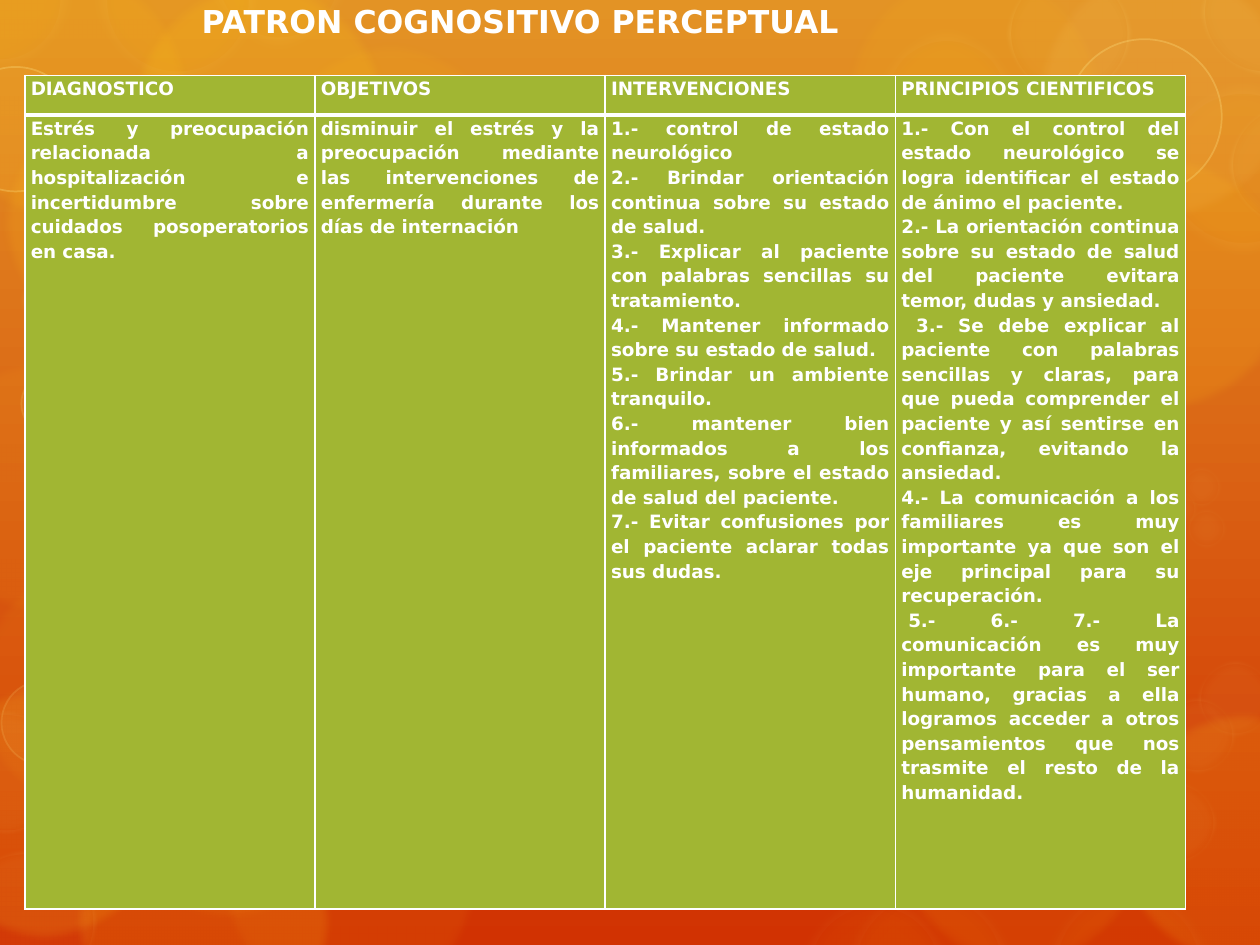
from lxml import etree
from pptx import Presentation
from pptx.dml.color import RGBColor
from pptx.enum.shapes import MSO_SHAPE
from pptx.enum.text import MSO_ANCHOR, PP_ALIGN
from pptx.oxml.ns import qn
from pptx.util import Cm, Pt

OVAL = MSO_SHAPE.OVAL
MIDDLE = MSO_ANCHOR.MIDDLE
LEFT, JUSTIFY = PP_ALIGN.LEFT, PP_ALIGN.JUSTIFY

FONT = "DejaVu Sans"
COLORS = {
    "top": "E39325", "bottom": "D13202", "amber": "FDC61B", "cream": "FEEBAE",
    "yellow": "FFE281", "green": "A1B633", "white": "FFFFFF",
}
TITLE = "PATRON COGNOSITIVO PERCEPTUAL"
HEADERS = ["DIAGNOSTICO", "OBJETIVOS", "INTERVENCIONES", "PRINCIPIOS CIENTIFICOS"]
# Each paragraph is its text and its first-line indent in centimetres.
COLUMNS = [
    [("Estrés y preocupación relacionada a hospitalización e incertidumbre sobre "
      "cuidados posoperatorios en casa.", 0)],
    [("disminuir el estrés y la preocupación mediante las intervenciones de "
      "enfermería durante los días de internación", 0)],
    [("1.- control de estado neurológico", 0),
     ("2.- Brindar orientación continua sobre su estado de salud.", 0),
     ("3.- Explicar al paciente con palabras sencillas su tratamiento.", 0),
     ("4.- Mantener informado sobre su estado de salud.", 0),
     ("5.- Brindar un ambiente tranquilo.", 0),
     ("6.- mantener bien informados a los familiares, sobre el estado de salud "
      "del paciente.", 0),
     ("7.- Evitar confusiones por el paciente aclarar todas sus dudas.", 0)],
    [("1.- Con el control del estado neurológico se logra identificar el estado "
      "de ánimo el paciente.", 0),
     ("2.- La orientación continua sobre su estado de salud del paciente evitara "
      "temor, dudas y ansiedad.", 0),
     ("3.- Se debe explicar al paciente con palabras sencillas y claras, para que "
      "pueda comprender el paciente y así sentirse en confianza, evitando la "
      "ansiedad.", 0.3),
     ("4.- La comunicación a los familiares es muy importante ya que son el eje "
      "principal para su recuperación.", 0),
     ("5.- 6.- 7.- La comunicación es muy importante para el ser humano, gracias a "
      "ella logramos acceder a otros pensamientos que nos trasmite el resto de la "
      "humanidad.", 0.14)],
]

# Background circles in inches: (left, top) of the large ones by fill and opacity.
LARGE_DIAMETER = 2.09
LARGE_CIRCLES = {
    ("amber", 5): [(7.29, 4.77)],
    ("amber", 8): [(-0.25, 4.42), (0.77, 5.24), (1.73, 5.96), (-0.7, 2.82)],
    ("amber", 10): [(0.57, 1.2), (2.05, 0.31), (6.69, -0.29), (7.06, 5.62)],
    ("amber", 14): [(-0.56, -0.32)],
    ("amber", 15): [(0, 0.72), (8.2, 1.2), (6.69, 0.86)],
    ("amber", 16): [(0.57, 6.27), (8.81, 5.62), (-0.69, 5.41)],
    ("amber", 20): [(1.01, -0.18)],
    ("yellow", 10): [(8.2, -0.32)],
}
# (left, top, diameter) by fill, opacity, line, line width and line opacity.
RINGS = {
    ("amber", 10, "cream", 14, 6): [
        (9.18, 0.65, 1.37), (6.94, 0.23, 1.14), (7.52, 1.59, 1.33), (7.89, 2.24, 1.14),
        (8.47, 2.91, 0.79), (0.75, -0.65, 1.31), (1.64, -0.75, 1.14), (-0.57, -0.58, 1.14)],
    ("amber", 6, "cream", 14, 4): [
        (0.3, 4.73, 1.53), (6.33, 7.1, 1.22), (6.7, 7.01, 1.35), (8.29, 7.01, 1.32)],
    ("amber", 10, None, 0, 0): [(6.75, 2.62, 1.33)],
    ("yellow", 5, "yellow", 1, 15): [
        (0.01, 5.4, 0.67), (8.34, 6.14, 0.81), (8.2, 5.39, 0.81), (0.17, 2.95, 0.51),
        (0.52, 3.46, 0.5)],
    ("yellow", 5, "yellow", 5, 15): [
        (-0.36, 6.75, 1.13), (-0.44, 5.64, 0.98), (7.63, 5.73, 0.81), (9, 6.2, 0.66),
        (8.83, 4.48, 0.61), (9.2, 5.53, 0.61), (9.5, 5.24, 0.61), (9.37, 3.7, 0.33),
        (9.18, 3.87, 0.33), (9.41, 4.03, 0.33), (0.3, 3.7, 0.39)],
    ("yellow", 5, "yellow", 1, 30): [
        (-0.37, 0.53, 0.99), (0.41, 2.06, 0.67), (8.47, 0.31, 1.23), (8.17, 1.45, 0.67)],
    ("yellow", 5, "yellow", 5, 30): [
        (0.52, 0.92, 1), (0.35, 1.59, 0.85), (0.17, 2.1, 0.57), (7.99, -0.23, 0.99),
        (9.53, -0.4, 1), (9.75, 0.82, 0.99), (8.3, 0.8, 1.06)],
}
SOFT_EDGES = {0: 5, 1: 0, 5: 5, 14: 10}  # line width: blur radius, in points


def color(name):
    return RGBColor.from_string(COLORS[name])


def from_inches(value):
    return Cm(round(value * 2.54, 2))


def paint(fill, name, opacity):
    fill.solid()
    fill.fore_color.rgb = color(name)
    for element in fill._xPr.iter(qn("a:srgbClr")):
        if not len(element):
            etree.SubElement(element, qn("a:alpha"), val=str(opacity * 1000))


def add_circle(slide, left, top, diameter, style):
    fill_name, opacity, line_name, width, line_opacity = style
    size = from_inches(diameter)
    circle = slide.shapes.add_shape(OVAL, from_inches(left), from_inches(top), size, size)
    circle.shadow.inherit = False
    paint(circle.fill, fill_name, opacity)
    if line_name:
        circle.line.width = Pt(width)
        paint(circle.line.fill, line_name, line_opacity)
    else:
        circle.line.fill.background()
    if SOFT_EDGES[width]:
        effects = circle.element.spPr.find(qn("a:effectLst"))
        etree.SubElement(effects, qn("a:softEdge"), rad=str(Pt(SOFT_EDGES[width])))


def format_paragraph(paragraph, size, alignment):
    paragraph.alignment = alignment
    for run in paragraph.runs:
        run.font.name = FONT
        run.font.size = Pt(size)
        run.font.bold = True
        run.font.color.rgb = color("white")


def add_borders(cell, top, bottom):
    properties = cell._tc.get_or_add_tcPr()
    for side, width in (("L", 1), ("R", 1), ("T", top), ("B", bottom)):
        line = etree.SubElement(properties, qn(f"a:ln{side}"), w=str(Pt(width)))
        fill = etree.SubElement(line, qn("a:solidFill"))
        etree.SubElement(fill, qn("a:srgbClr"), val=COLORS["white"])


def fill_cell(cell, paragraphs, top, bottom):
    add_borders(cell, top, bottom)
    cell.fill.solid()
    cell.fill.fore_color.rgb = color("green")
    cell.margin_left = cell.margin_right = Cm(0.12)
    cell.margin_top = cell.margin_bottom = 0
    cell.text_frame.text = "\n".join(text for text, _ in paragraphs)
    for paragraph, (_, indent) in zip(cell.text_frame.paragraphs, paragraphs):
        format_paragraph(paragraph, 10.5, JUSTIFY)
        paragraph.line_spacing = 1.15
        if indent:
            paragraph._p.get_or_add_pPr().set("indent", str(Cm(indent)))


def add_background(slide):
    fill = slide.background.fill
    fill.gradient()
    fill.gradient_angle = 270
    for stop, name in zip(fill.gradient_stops, ("top", "bottom")):
        stop.color.rgb = color(name)
    for (name, opacity), corners in LARGE_CIRCLES.items():
        for left, top in corners:
            add_circle(slide, left, top, LARGE_DIAMETER, (name, opacity, None, 0, 0))
    for style, circles in RINGS.items():
        for circle in circles:
            add_circle(slide, *circle, style)


def add_title(slide):
    title = slide.shapes.title
    title.element.getparent().append(title.element)  # in front of the circles
    title.left, title.top, title.width, title.height = Cm(3.81), Cm(-0.28), Cm(14.71), Cm(1.4)
    title.text_frame.text = TITLE
    title.text_frame.word_wrap = True
    title.text_frame.vertical_anchor = MIDDLE
    format_paragraph(title.text_frame.paragraphs[0], 18, LEFT)


def add_care_table(slide):
    table = slide.shapes.add_table(
        2, len(HEADERS), Cm(0.5), Cm(1.52), Cm(23.4), Cm(16.8)).table
    table.horz_banding = False
    table.rows[0].height, table.rows[1].height = Cm(0.8), Cm(16)
    for index, (header, paragraphs) in enumerate(zip(HEADERS, COLUMNS)):
        table.columns[index].width = Cm(5.85)
        fill_cell(table.cell(0, index), [(header, 0)], top=1, bottom=3)
        fill_cell(table.cell(1, index), paragraphs, top=3, bottom=1)


def main():
    presentation = Presentation()
    presentation.slide_width, presentation.slide_height = Cm(25.4), Cm(19.05)
    slide = presentation.slides.add_slide(presentation.slide_layouts[5])
    add_background(slide)
    add_title(slide)
    add_care_table(slide)
    presentation.save("out.pptx")


if __name__ == "__main__":
    main()
